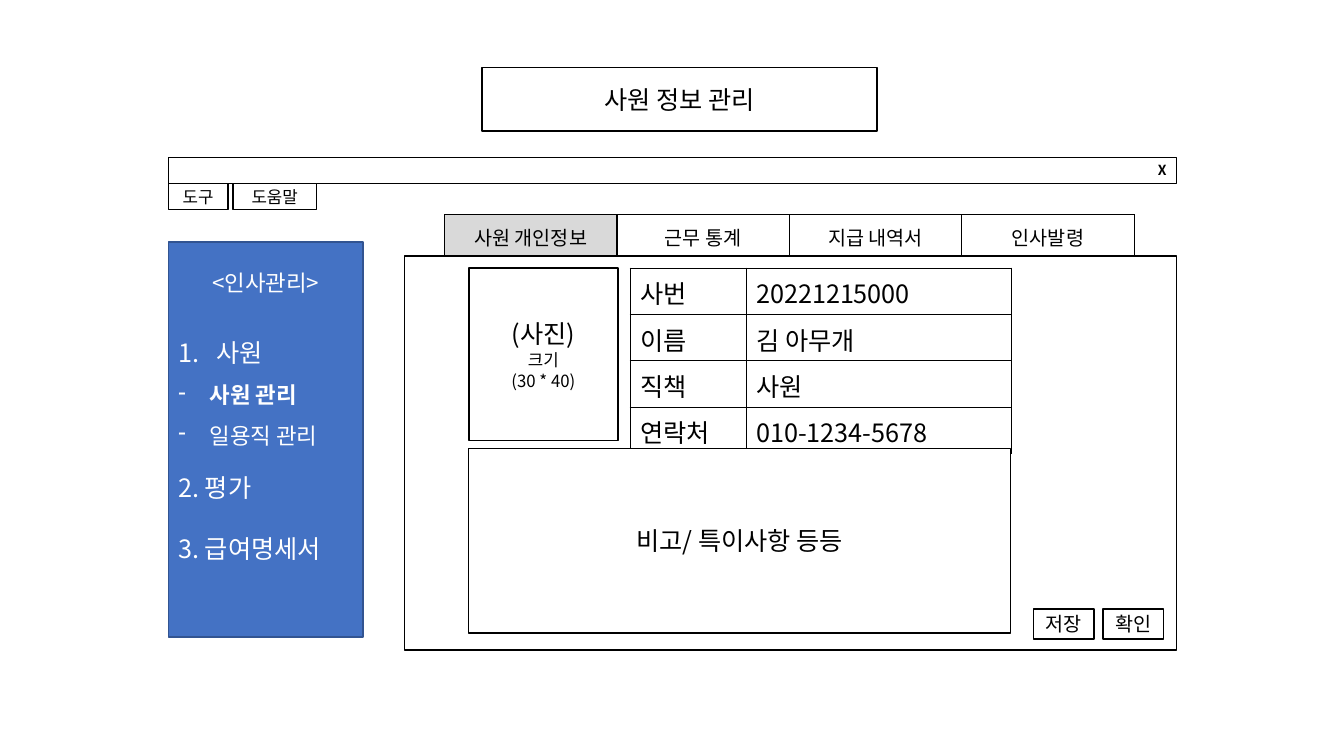
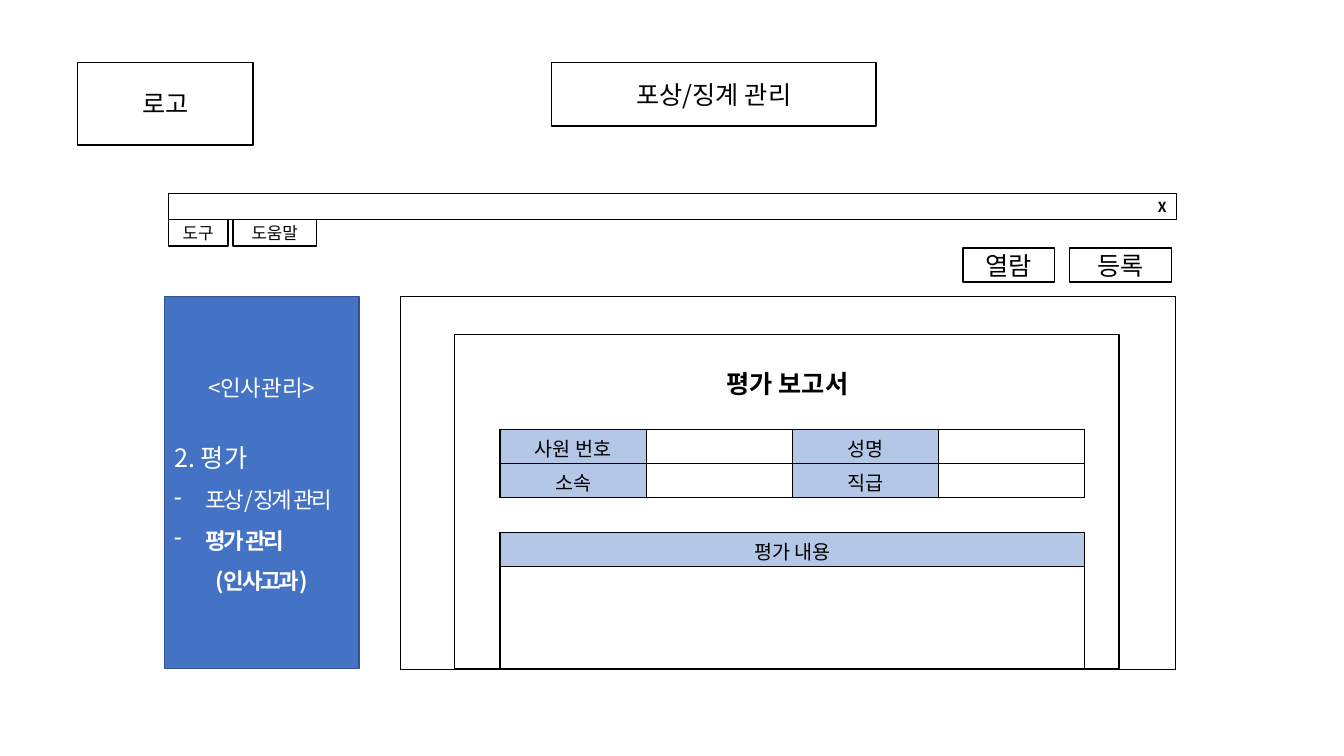
import dataclasses

import lxml.etree
import pptx
import pptx.dml.color
import pptx.enum.shapes
import pptx.enum.text
import pptx.oxml.ns
import pptx.util

Inches = pptx.util.Inches
Pt = pptx.util.Pt
qn = pptx.oxml.ns.qn
ALIGN = pptx.enum.text.PP_ALIGN
ANCHOR = pptx.enum.text.MSO_ANCHOR


@dataclasses.dataclass(frozen=True)
class Theme:
    font: str = "Noto Sans CJK KR"
    black: str = "000000"
    white: str = "FFFFFF"
    blue: str = "4472C4"
    navy: str = "325491"
    grey: str = "D9D9D9"
    pale: str = "B4C7E7"
    big: float = 18
    menu: float = 16
    medium: float = 14
    small: float = 12
    close: float = 9.9


T = Theme()


@dataclasses.dataclass(frozen=True)
class Line:
    text: str
    size: float = T.big
    lead: float = 0
    before: float = 0
    bold: bool = False
    align: object = ALIGN.CENTER
    bullet: str = ""
    indent: float = 0
    tracking: float = 0


def rgb(value):
    return pptx.dml.color.RGBColor.from_string(value)


def heading(text):
    return Line(text, T.menu, 19)


def item(text, bullet="", lead=32, before=19.5):
    return Line(text, T.big, lead, before, align=ALIGN.LEFT, bullet=bullet, indent=0.38 if bullet else 0)


def subitem(text, bold=False, tracking=0):
    return Line(text, T.menu, 29, bold=bold, align=ALIGN.LEFT, bullet="-", indent=0.31, tracking=tracking)


def add_run(p, line, color):
    r = p.add_run()
    r.text = line.text
    r.font.size = Pt(line.size)
    r.font.bold = line.bold
    r.font.color.rgb = rgb(color)
    r.font.name = T.font
    props = r._r.get_or_add_rPr()
    lxml.etree.SubElement(props, qn("a:ea"), typeface=T.font)
    if line.tracking:
        props.set("spc", str(int(line.tracking * 100)))


def add_bullet(p, line):
    props = p._p.get_or_add_pPr()
    props.set("marL", str(Inches(line.indent)))
    props.set("indent", str(-Inches(line.indent)))
    if line.bullet == "1.":
        lxml.etree.SubElement(props, qn("a:buAutoNum"), type="arabicPeriod")
    else:
        lxml.etree.SubElement(props, qn("a:buChar"), char=line.bullet)


def write(tf, lines, color=T.black):
    for i, line in enumerate(lines):
        p = tf.paragraphs[0] if i == 0 else tf.add_paragraph()
        p.alignment = line.align
        if line.lead:
            p.line_spacing = Pt(line.lead)
        if line.before:
            p.space_before = Pt(line.before)
        if line.bullet:
            add_bullet(p, line)
        add_run(p, line, color)


def add_box(s, x, y, w, h, *lines, fill=T.white, outline=T.black, color=T.black):
    sp = s.shapes.add_shape(pptx.enum.shapes.MSO_SHAPE.RECTANGLE, Inches(x), Inches(y), Inches(w), Inches(h))
    sp.shadow.inherit = False
    sp.fill.solid()
    sp.fill.fore_color.rgb = rgb(fill)
    sp.line.color.rgb = rgb(outline)
    sp.line.width = Pt(1)
    tf = sp.text_frame
    tf.word_wrap = True
    tf.vertical_anchor = ANCHOR.MIDDLE
    write(tf, lines, color)
    return sp


def add_menu(s, x, y, h, top, *lines):
    sp = add_box(s, x, y, 1.93, h, *lines, fill=T.blue, outline=T.navy, color=T.white)
    sp.text_frame.vertical_anchor = ANCHOR.TOP
    sp.text_frame.margin_top = Inches(top)


def add_borders(cell):
    props = cell._tc.get_or_add_tcPr()
    for side in ("a:lnL", "a:lnR", "a:lnT", "a:lnB"):
        ln = lxml.etree.SubElement(props, qn(side), w=str(Pt(1)))
        fill = lxml.etree.SubElement(ln, qn("a:solidFill"))
        lxml.etree.SubElement(fill, qn("a:srgbClr"), val=T.black)


def add_grid(s, x, y, widths, heights, rows, size=T.medium, align=ALIGN.CENTER, fills=None):
    frame = s.shapes.add_table(len(heights), len(widths), Inches(x), Inches(y),
                               Inches(sum(widths)), Inches(sum(heights)))
    table = frame.table
    table.first_row = False
    table.horz_banding = False
    for column, width in zip(table.columns, widths):
        column.width = Inches(width)
    for row, height in zip(table.rows, heights):
        row.height = Inches(height)
    for i, texts in enumerate(rows):
        for j, text in enumerate(texts):
            cell = table.cell(i, j)
            cell.vertical_anchor = ANCHOR.MIDDLE
            cell.margin_top = Inches(0.03)
            cell.margin_bottom = 0
            add_borders(cell)
            fill = (fills or {}).get((i, j))
            if fill:
                cell.fill.solid()
                cell.fill.fore_color.rgb = rgb(fill)
            else:
                cell.fill.background()
            if text:
                write(cell.text_frame, [Line(text, size, align=align)])


def add_window(prs, top):
    s = prs.slides.add_slide(prs.slide_layouts[0])
    subtitle = s.placeholders[1].element
    subtitle.getparent().remove(subtitle)
    title = s.shapes.title
    title.left, title.top = Inches(1.67), Inches(top)
    title.width, title.height = Inches(10), Inches(0.26)
    title.line.color.rgb = rgb(T.black)
    title.line.width = Pt(0.75)
    tf = title.text_frame
    tf.auto_size = pptx.enum.text.MSO_AUTO_SIZE.NONE
    tf.vertical_anchor = ANCHOR.MIDDLE
    write(tf, [Line("X", T.close, bold=True, align=ALIGN.RIGHT)])
    for x, w, text in ((1.67, 0.59, "도구"), (2.31, 0.83, "도움말")):
        add_box(s, x, top + 0.26, w, 0.26, Line(text, T.small))
    return s


def employee_slide(prs):
    s = add_window(prs, 1.56)
    add_box(s, 4.78, 0.67, 3.92, 0.63, Line("사원 정보 관리"))
    add_box(s, 4.01, 2.54, 7.66, 3.91)
    add_box(s, 4.65, 2.66, 1.48, 1.71, Line("(사진)", T.big, 22),
            Line("크기", T.small, 15), Line("(30 * 40)", T.small, 15))
    details = [("사번", "20221215000"), ("이름", "김 아무개"), ("직책", "사원"), ("연락처", "010-1234-5678")]
    add_grid(s, 6.25, 2.66, [1.15, 2.63], [0.46] * 4, details, T.big, ALIGN.LEFT)
    add_box(s, 4.65, 4.45, 5.37, 1.83, Line("비고/ 특이사항 등등"))
    for x, text in ((10.25, "저장"), (10.94, "확인")):
        add_box(s, x, 6.04, 0.6, 0.3, Line(text, T.medium))
    add_menu(s, 1.67, 2.4, 3.92, 0.27, heading("<인사관리>"), item("사원", "1."),
             subitem("사원 관리", bold=True), subitem("일용직 관리"),
             item("2. 평가", lead=22, before=16), item("3. 급여명세서", lead=22, before=21.6))
    tabs = ["사원 개인정보", "근무 통계", "지급 내역서", "인사발령"]
    add_grid(s, 4.41, 2.13, [1.71] * 4, [0.41], [tabs], fills={(0, 0): T.grey})


def review_slide(prs):
    s = add_window(prs, 1.92)
    add_box(s, 3.97, 2.94, 7.69, 3.7)
    add_box(s, 5.47, 0.62, 3.22, 0.63, Line("포상/징계 관리"))
    add_box(s, 0.77, 0.62, 1.74, 0.82, Line("로고"))
    for x, w, text in ((9.55, 0.91, "열람"), (10.61, 1.01, "등록")):
        add_box(s, x, 2.46, w, 0.34, Line(text))
    add_menu(s, 1.63, 2.94, 3.69, 0.77, heading("<인사관리>"), item("2. 평가"),
             subitem("포상/징계 관리", tracking=-1.5), subitem("평가 관리", bold=True, tracking=-1.5),
             Line("(인사고과)", T.menu, 29, bold=True, tracking=-1.5))
    add_box(s, 4.51, 3.32, 6.59, 3.31)
    caption = s.shapes.add_textbox(Inches(5.15), Inches(3.61), Inches(5.32), Inches(0.4))
    caption.text_frame.word_wrap = True
    write(caption.text_frame, [Line("평가 보고서", bold=True)])
    people = [("사원 번호", "", "성명", ""), ("소속", "", "직급", "")]
    labels = {(i, j): T.pale for i in range(2) for j in (0, 2)}
    add_grid(s, 4.96, 4.26, [1.45] * 4, [0.34] * 2, people, fills=labels)
    add_grid(s, 4.96, 5.28, [5.8], [0.34, 1.02], [("평가 내용",), ("",)], fills={(0, 0): T.pale})


def main():
    prs = pptx.Presentation()
    prs.slide_width = Inches(13.33)
    prs.slide_height = Inches(7.5)
    employee_slide(prs)
    review_slide(prs)
    prs.save("out.pptx")


main()
